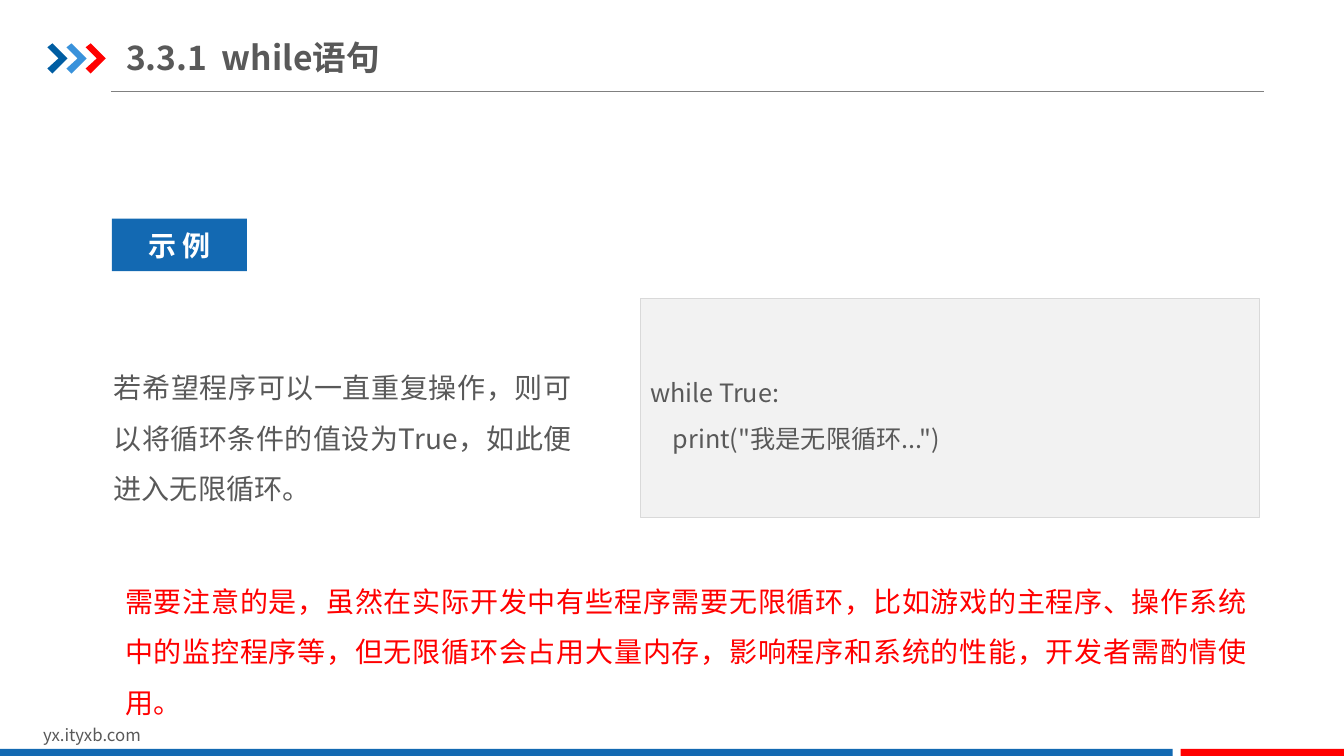
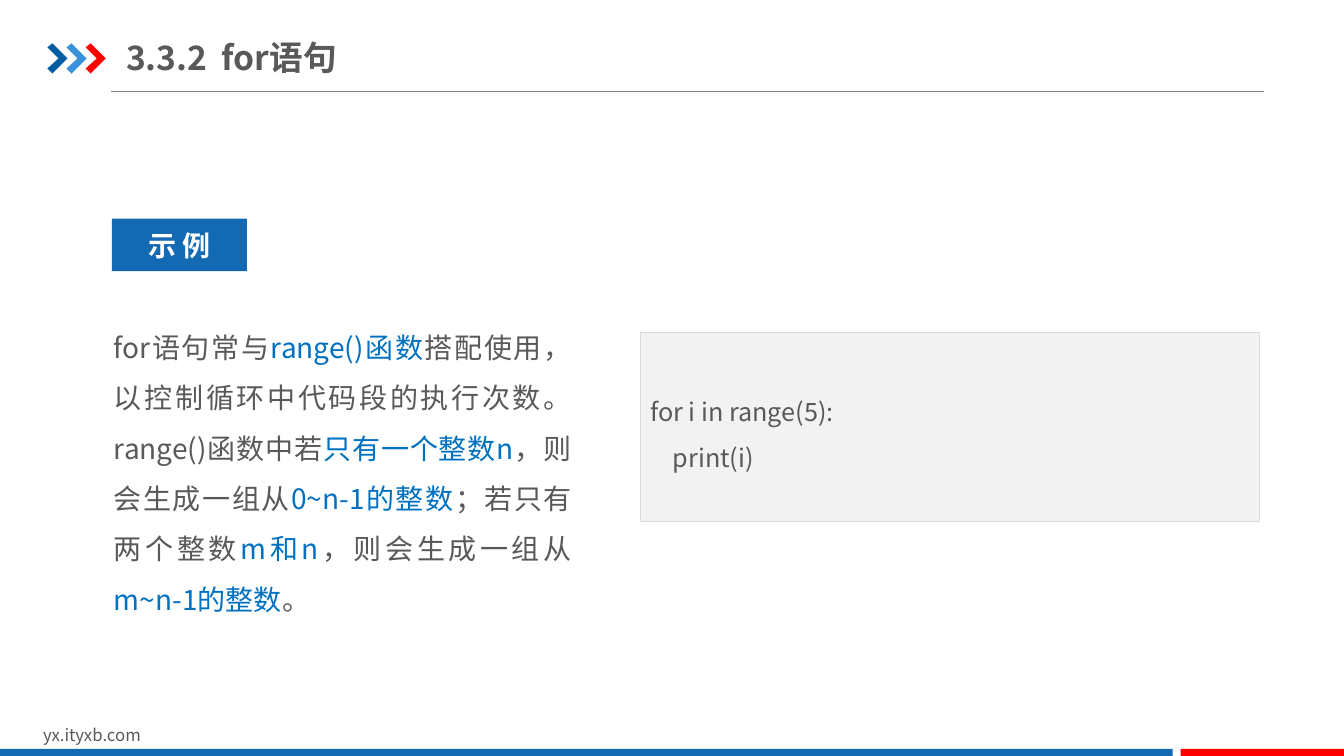
from dataclasses import dataclass

import lxml.etree
import pptx
import pptx.dml.color
import pptx.enum.shapes
import pptx.enum.text
import pptx.oxml.ns
import pptx.util

Inches = pptx.util.Inches
Pt = pptx.util.Pt
RGBColor = pptx.dml.color.RGBColor
Align = pptx.enum.text.PP_ALIGN
Anchor = pptx.enum.text.MSO_ANCHOR
AutoSize = pptx.enum.text.MSO_AUTO_SIZE
RECTANGLE = pptx.enum.shapes.MSO_SHAPE.RECTANGLE
qn = pptx.oxml.ns.qn

FONT = "Noto Sans CJK SC"
WHITE = RGBColor(0xFF, 0xFF, 0xFF)
TEXT_GREY = RGBColor(0x59, 0x59, 0x59)
RULE_GREY = RGBColor(0x80, 0x80, 0x80)
CODE_FILL = RGBColor(0xF2, 0xF2, 0xF2)
CODE_BORDER = RGBColor(0xD9, 0xD9, 0xD9)
BAND_BLUE = RGBColor(0x13, 0x69, 0xB2)
TERM_BLUE = RGBColor(0x00, 0x70, 0xC0)
RED = RGBColor(0xFF, 0x00, 0x00)
CHEVRON_COLORS = (RGBColor(0x00, 0x5D, 0xA2), RGBColor(0x39, 0x92, 0xDB), RED)
CHEVRON_OUTLINE = ((0, 0.04), (0.05, 0), (0.2, 0.15), (0.05, 0.3),
                   (0, 0.25), (0.11, 0.15))


@dataclass(frozen=True)
class Box:
    left: float
    top: float
    width: float
    height: float

    def lengths(self):
        return [Inches(n) for n in (self.left, self.top, self.width, self.height)]


@dataclass(frozen=True)
class Term:
    """A highlighted stretch of running text."""
    text: str


@dataclass(frozen=True)
class Example:
    number: str
    topic: str
    explanation: tuple
    explanation_box: Box
    code: tuple
    code_box: Box
    warning: str = ""


EXAMPLES = (
    Example(
        "3.3.1", "while语句",
        ("若希望程序可以一直重复操作，则可以将循环条件的值设为True，如此便进入无限循环。",),
        Box(1, 3.44, 4.8, 1.65),
        ("while True:", '    print("我是无限循环...")'),
        Box(6.35, 2.96, 6.14, 2.17),
        "需要注意的是，虽然在实际开发中有些程序需要无限循环，比如游戏的主程序、"
        "操作系统中的监控程序等，但无限循环会占用大量内存，影响程序和系统的性能，"
        "开发者需酌情使用。",
    ),
    Example(
        "3.3.2", "for语句",
        ("for语句常与", Term("range()函数"),
         "搭配使用，以控制循环中代码段的执行次数。range()函数中若",
         Term("只有一个整数n"), "，则会生成一组从", Term("0~n-1的整数"),
         "；若只有两个整数", Term("m和n"), "，则会生成一组从",
         Term("m~n-1的整数"), "。"),
        Box(1, 3.04, 4.8, 3.16),
        ("for i in range(5):", "    print(i)"),
        Box(6.35, 3.3, 6.14, 1.87),
    ),
)


def write(frame, *paragraphs, size: float, color: RGBColor = TEXT_GREY,
          bold: bool = False, align=Align.LEFT, anchor=Anchor.TOP,
          spacing: float = 1.0, insets: tuple = (0.1, 0.05),
          auto_size=AutoSize.NONE, tab: float = 0) -> None:
    """Fill a text frame; each paragraph is a string or a sequence of strings and Terms."""
    frame.word_wrap = True
    frame.auto_size = auto_size
    frame.vertical_anchor = anchor
    frame.margin_left = frame.margin_right = Inches(insets[0])
    frame.margin_top = frame.margin_bottom = Inches(insets[1])
    for index, parts in enumerate(paragraphs):
        paragraph = frame.add_paragraph() if index else frame.paragraphs[0]
        paragraph.alignment = align
        paragraph.line_spacing = spacing
        if tab:
            stops = lxml.etree.SubElement(
                paragraph._p.get_or_add_pPr(), qn("a:tabLst"))
            lxml.etree.SubElement(
                stops, qn("a:tab"), pos=str(Inches(tab)), algn="l")
        for part in (parts,) if isinstance(parts, str) else parts:
            is_term = isinstance(part, Term)
            run = paragraph.add_run()
            run.text = part.text if is_term else part
            run.font.size = Pt(size)
            run.font.bold = bold
            run.font.color.rgb = TERM_BLUE if is_term else color
            run.font.name = FONT
            lxml.etree.SubElement(
                run._r.get_or_add_rPr(), qn("a:ea"), typeface=FONT)


def add_text(slide, box: Box, *paragraphs, **text_format) -> None:
    write(slide.shapes.add_textbox(*box.lengths()).text_frame,
          *paragraphs, **text_format)


def paint(shape, fill: RGBColor, border: RGBColor | None = None):
    shape.shadow.inherit = False
    shape.fill.solid()
    shape.fill.fore_color.rgb = fill
    if border is None:
        shape.line.fill.background()
    else:
        shape.line.color.rgb = border
        shape.line.width = Pt(0.25)
    return shape


def add_panel(slide, box: Box, fill: RGBColor, border: RGBColor | None = None):
    return paint(slide.shapes.add_shape(RECTANGLE, *box.lengths()), fill, border)


def add_chevron(slide, left: float, top: float, fill: RGBColor) -> None:
    start, *others = [(Inches(left + x), Inches(top + y))
                      for x, y in CHEVRON_OUTLINE]
    outline = slide.shapes.build_freeform(*start, scale=1.0)
    outline.add_line_segments(others, close=True)
    paint(outline.convert_to_shape(), fill)


def add_title_rule(slide) -> None:
    rule = slide.shapes.add_connector(
        pptx.enum.shapes.MSO_CONNECTOR.STRAIGHT,
        Inches(1.1), Inches(0.91), Inches(12.54), Inches(0.91))
    rule.line.color.rgb = RULE_GREY
    rule.line.width = Pt(0.75)
    lxml.etree.SubElement(rule.element.spPr, qn("a:effectLst"))


def move_frame_to_layout(slide, layout) -> None:
    """Draw the shared decoration on an empty slide, then hand it to the layout."""
    for placeholder in list(layout.placeholders):
        if placeholder.placeholder_format.idx != 0:
            layout.shapes.element.remove(placeholder.element)
    add_title_rule(slide)
    for index, color in enumerate(CHEVRON_COLORS):
        add_chevron(slide, 0.47 + 0.19 * index, 0.43, color)
    add_text(slide, Box(0.33, 7.14, 3.18, 0.3), "yx.ityxb.com", size=12)
    add_panel(slide, Box(0, 7.43, 11.63, 0.09), BAND_BLUE)
    add_panel(slide, Box(11.71, 7.43, 1.63, 0.09), RED)
    for shape in list(slide.shapes):
        if not shape.is_placeholder:
            layout.shapes.element.append(shape.element)


def fill_slide(slide, example: Example) -> None:
    title = slide.shapes.title
    title.left, title.top, title.width, title.height = Box(
        1.25, 0.29, 5.02, 0.55).lengths()
    write(title.text_frame, f"{example.number}\t{example.topic}", size=24,
          bold=True, anchor=Anchor.MIDDLE, insets=(0, 0.07), tab=0.95)

    label = add_panel(slide, Box(1.11, 2.17, 1.34, 0.52), BAND_BLUE)
    write(label.text_frame, "示 例", size=20, color=WHITE, bold=True,
          align=Align.CENTER, anchor=Anchor.MIDDLE)

    code = add_panel(slide, example.code_box, CODE_FILL, CODE_BORDER)
    write(code.text_frame, *example.code, size=18, spacing=1.5,
          anchor=Anchor.MIDDLE)

    prose = dict(size=20, align=Align.JUSTIFY, spacing=1.5, insets=(0.13, 0.07),
                 auto_size=AutoSize.SHAPE_TO_FIT_TEXT)
    add_text(slide, example.explanation_box, example.explanation, **prose)
    if example.warning:
        add_text(slide, Box(1.11, 5.56, 11.38, 1.14), example.warning,
                 color=RED, **prose)


def main() -> None:
    deck = pptx.Presentation()
    deck.slide_width, deck.slide_height = Inches(13.33), Inches(7.5)
    layout = deck.slide_layouts.get_by_name("Title Only")
    slides = [deck.slides.add_slide(layout) for _ in EXAMPLES]
    move_frame_to_layout(slides[0], layout)
    for slide, example in zip(slides, EXAMPLES):
        fill_slide(slide, example)
    deck.save("out.pptx")


if __name__ == "__main__":
    main()
